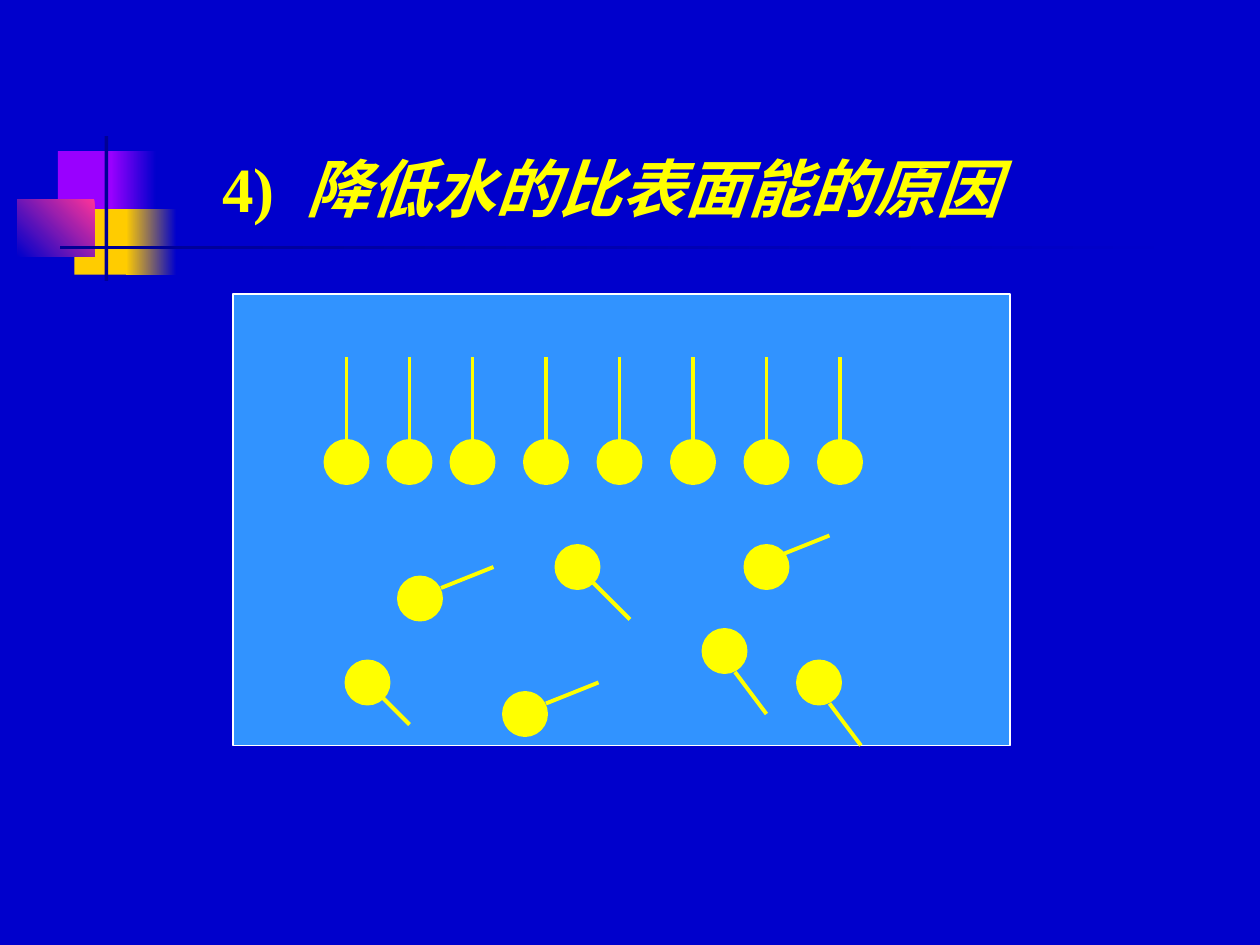
from lxml import etree
from pptx import Presentation
from pptx.dml.color import RGBColor
from pptx.enum.shapes import MSO_CONNECTOR, MSO_SHAPE
from pptx.enum.text import MSO_ANCHOR
from pptx.oxml.ns import qn
from pptx.util import Pt

RECT, OVAL, STRAIGHT = MSO_SHAPE.RECTANGLE, MSO_SHAPE.OVAL, MSO_CONNECTOR.STRAIGHT

THEME = {
    "background": "0000CC", "violet": "9900FF", "gold": "FFCC00", "pink": "FF3399",
    "navy": "000094", "water": "3193FF", "border": "FFFFFF", "yellow": "FFFF00",
    "font": "Times New Roman", "title_size": 36, "border_width": 0.75, "stroke": 2.25,
}

# Title: text, italic, extra letter spacing
TITLE_BOX = (120, 72, 510, 60)
TITLE_RUNS = [("4)", False, 0), (" ", False, 9), ("降低水的比表面能的原因", True, 0)]

# Ornament: box, colours, clockwise gradient angle
ORNAMENT = [
    ((33.12, 86.4, 34.56, 37.44), ["violet"], 0),
    ((63.36, 86.4, 25.92, 37.44), ["background", "violet"], 180),
    ((42.48, 119.52, 33.12, 37.44), ["gold"], 0),
    ((72, 119.52, 28.8, 37.44), ["background", "gold"], 180),
    ((10.08, 113.76, 43.92, 33.12), ["pink", "background"], 135),
    ((59.76, 77.76, 2.16, 82.8), ["navy"], 0),
    ((34.56, 140.4, 648, 2.16), ["background", "navy"], 180),
]

# Molecules: a round head with a straight tail
WATER_BOX = (133.2, 168, 444, 258)
HEAD = 24
SURFACE_TOP, SURFACE_TAIL = 252, (12, 0, 0, -48)
SURFACE_CENTRES = [198, 234] + [270 + 42 * step for step in range(6)]
# Head left and top, then tail start within the head box and tail run
DISSOLVED = [
    (228, 330, (24, 6, 30, -12)),
    (426, 312, (18, 6, 30, -12)),
    (288, 396, (24, 6, 30, -12)),
    (318, 312, (18, 18, 24, 24)),
    (198, 378, (18, 18, 18, 18)),
    (402, 360, (18, 24, 18, 24)),
    (456, 378, (18, 24, 18, 24)),
]


def colour(key):
    return RGBColor.from_string(THEME[key])


def add_block(slide, kind, box, fills, angle=0, line=None, width=0):
    block = slide.shapes.add_shape(kind, *map(Pt, box))
    block.shadow.inherit = False
    if len(fills) == 1:
        block.fill.solid()
        block.fill.fore_color.rgb = colour(fills[0])
    else:
        block.fill.gradient()
        block.fill.gradient_angle = 360 - angle
        for stop, key in zip(block.fill.gradient_stops, fills):
            stop.color.rgb = colour(key)
    if line:
        block.line.color.rgb = colour(line)
        block.line.width = Pt(width)
    else:
        block.line.fill.background()


def add_molecule(slide, left, top, tail):
    add_block(slide, OVAL, (left, top, HEAD, HEAD), ["yellow"],
              line="yellow", width=THEME["stroke"])
    x, y, run, rise = left + tail[0], top + tail[1], tail[2], tail[3]
    stick = slide.shapes.add_connector(STRAIGHT, *map(Pt, (x, y, x + run, y + rise)))
    stick.line.color.rgb = colour("yellow")
    stick.line.width = Pt(THEME["stroke"])
    etree.SubElement(stick._element.spPr, qn("a:effectLst"))


def add_title(slide):
    frame = slide.shapes.add_textbox(*map(Pt, TITLE_BOX)).text_frame
    frame.word_wrap = True
    frame.vertical_anchor = MSO_ANCHOR.BOTTOM
    for text, italic, spacing in TITLE_RUNS:
        run = frame.paragraphs[0].add_run()
        run.text = text
        style = {"name": THEME["font"], "size": Pt(THEME["title_size"]),
                 "bold": True, "italic": italic}
        for attribute, value in style.items():
            setattr(run.font, attribute, value)
        run.font.color.rgb = colour("yellow")
        if spacing:
            run._r.get_or_add_rPr().set("spc", str(spacing * 100))


def main():
    deck = Presentation()
    deck.slide_width, deck.slide_height = Pt(720), Pt(540)
    slide = deck.slides.add_slide(deck.slide_layouts[6])
    slide.background.fill.solid()
    slide.background.fill.fore_color.rgb = colour("background")

    # Ornament and title
    for box, fills, angle in ORNAMENT:
        add_block(slide, RECT, box, fills, angle)
    add_title(slide)

    # Water with molecules lined up at the surface and scattered below
    add_block(slide, RECT, WATER_BOX, ["water"], line="border",
              width=THEME["border_width"])
    surface = [(x - HEAD / 2, SURFACE_TOP, SURFACE_TAIL) for x in SURFACE_CENTRES]
    for molecule in DISSOLVED + surface:
        add_molecule(slide, *molecule)

    deck.save("out.pptx")


if __name__ == "__main__":
    main()
